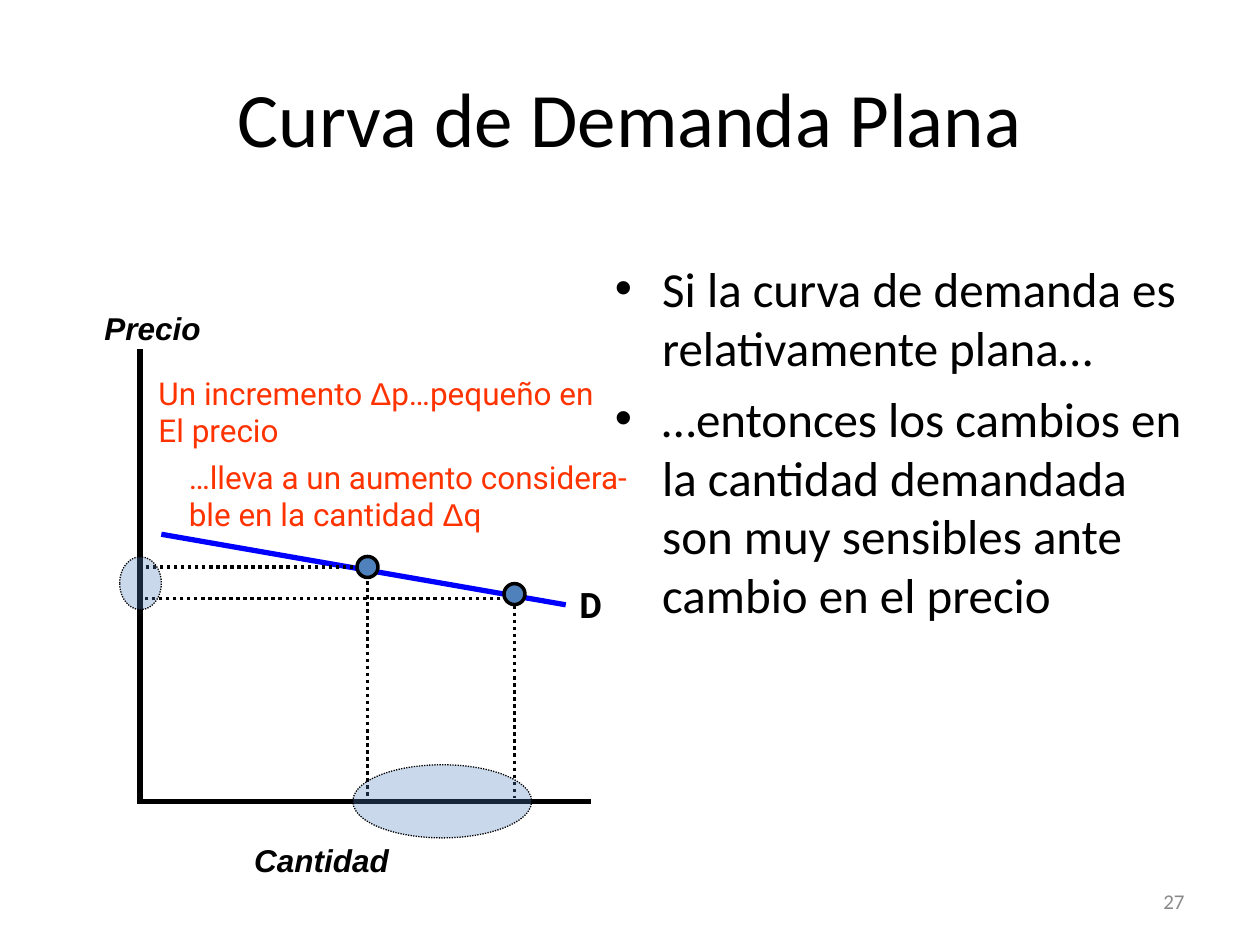
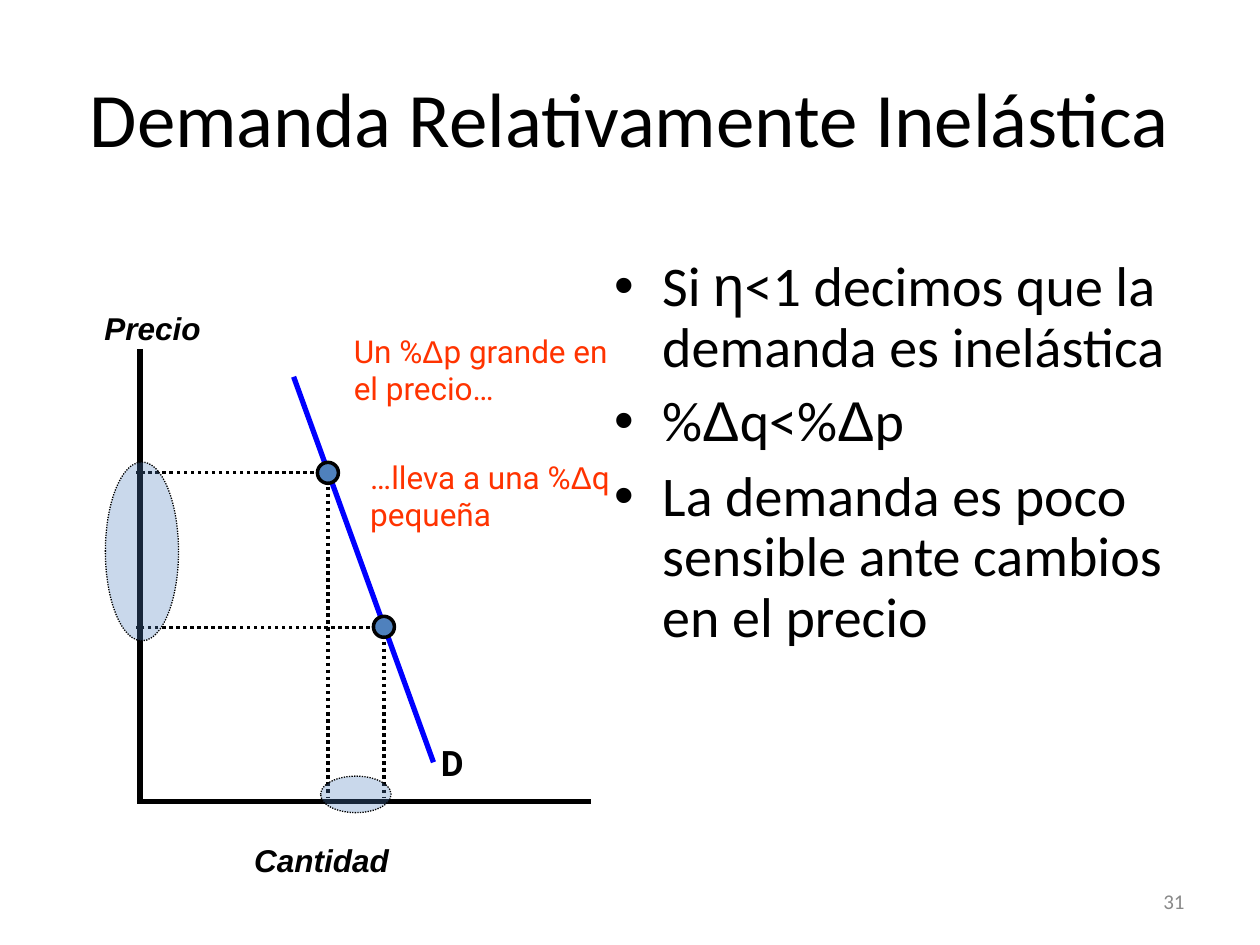
from dataclasses import dataclass
from itertools import groupby
from typing import Optional

from pptx import Presentation
from pptx.dml.color import RGBColor
from pptx.enum.dml import MSO_LINE
from pptx.enum.shapes import MSO_CONNECTOR, MSO_SHAPE
from pptx.enum.text import MSO_ANCHOR, MSO_AUTO_SIZE, PP_ALIGN
from pptx.oxml.ns import qn
from pptx.util import Pt
from lxml import etree

DOT = MSO_LINE.ROUND_DOT
OVAL = MSO_SHAPE.OVAL
STRAIGHT = MSO_CONNECTOR.STRAIGHT
MIDDLE = MSO_ANCHOR.MIDDLE
NO_FIT, GROW = MSO_AUTO_SIZE.NONE, MSO_AUTO_SIZE.SHAPE_TO_FIT_TEXT
LEFT, CENTER, RIGHT = PP_ALIGN.LEFT, PP_ALIGN.CENTER, PP_ALIGN.RIGHT

COLORS = {"ink": "000000", "curve": "0000FF", "note": "FF3300",
          "mark": "4F81BD", "page": "898989"}
GREEK = "Δη"
AXIS_X, AXIS_Y = 80, 458
GUIDE_X, GUIDE_Y = 78, 456
DOT_SIZE = 12


@dataclass(frozen=True)
class Style:
    size: int
    face: str
    color: str = "ink"
    bold: bool = False
    slant: bool = False
    align: PP_ALIGN = LEFT
    before: float = 0
    lead: Optional[float] = None


@dataclass(frozen=True)
class Box:
    x: float
    y: float
    w: float
    h: float


@dataclass(frozen=True)
class Line:
    x1: float
    y1: float
    x2: float
    y2: float


@dataclass(frozen=True)
class Point:
    x: float
    y: float
    level: float  # height of the guide to the price axis


@dataclass(frozen=True)
class Label:
    box: Box
    lines: tuple[str, ...]
    style: Style


@dataclass(frozen=True)
class Page:
    title: str
    number: str
    list_style: Style
    items: tuple[str, ...]
    demand: Line
    points: tuple[Point, ...]
    zones: tuple[Box, ...]
    labels: tuple[Label, ...]


# Shared styles and places
TITLE = Style(44, "Calibri", align=CENTER)
NUMBER = Style(12, "Calibri", "page", align=RIGHT)
AXIS = Style(18, "Arial", bold=True, slant=True)
NAME = Style(20, "Roboto", bold=True)
NOTE = Style(18, "Roboto", "note")
TITLE_BOX = Box(36, 21.6, 648, 90)
LIST_BOX = Box(344.2, 144, 339.8, 338.4)
NUMBER_BOX = Box(516.2, 500.4, 167.8, 28.8)
AXES = (Line(AXIS_X, 199.4, AXIS_X, 458.6),
        Line(78.5, AXIS_Y, 337.7, AXIS_Y))
AXIS_LABELS = (Label(Box(138.2, 477, 92, 28.8), ("Cantidad",), AXIS),
               Label(Box(52.6, 172.8, 72, 28.8), ("Precio",), AXIS))

PAGES = (
    Page("Curva de Demanda Plana", "27",
         Style(28, "Calibri", before=7, lead=1.0),
         ("Si la curva de demanda es relativamente plana…",
          "…entonces los cambios en la cantidad demandada son muy sensibles "
          "ante cambio en el precio"),
         Line(92.2, 305.3, 323.3, 345.6),
         (Point(210, 324, 324), Point(294, 339.5, 342)),
         (Box(201.6, 437, 102.2, 41.8), Box(68.4, 318.2, 23.8, 30.2)),
         (Label(Box(324, 330, 28.8, 31.7), ("D",), NAME),
          Label(Box(83.5, 210, 288, 50.4),
                ("Un incremento Δp…pequeño en", "El precio"), NOTE),
          Label(Box(100.8, 258, 283.7, 50.4),
                ("…lleva a un aumento considera-",
                 "ble en la cantidad Δq"), NOTE))),
    Page("Demanda Relativamente Inelástica", "31",
         Style(32, "Calibri", before=8, lead=0.9),
         ("Si η<1 decimos que la demanda es inelástica", "%Δq<%Δp",
          "La demanda es poco sensible ante cambios en el precio"),
         Line(167.8, 215.3, 247.7, 435.6),
         (Point(187.4, 270.2, 270), Point(219.4, 358.2, 358.6)),
         (Box(60.2, 264, 41.8, 102.2), Box(183.2, 443.5, 40.3, 20.9)),
         (Label(Box(244.8, 420, 28.8, 31.7), ("D",), NAME),
          Label(Box(195.1, 186, 172, 50.4),
                ("Un %Δp grande en", "el precio…"), NOTE),
          Label(Box(204.5, 258, 165.6, 50.4),
                ("…lleva a una %Δq", "pequeña"), NOTE))),
)


def tint(name: str) -> RGBColor:
    return RGBColor.from_string(COLORS[name])


def write(frame, lines: tuple[str, ...], style: Style) -> None:
    """Fill a frame, one paragraph a line, with Greek letters in Arial."""
    for i, line in enumerate(lines):
        para = frame.add_paragraph() if i else frame.paragraphs[0]
        para.alignment = style.align
        para.space_before = Pt(style.before)
        if style.lead:
            para.line_spacing = style.lead
        font = para.font
        font.size, font.name = Pt(style.size), style.face
        font.bold, font.italic = style.bold, style.slant
        font.color.rgb = tint(style.color)
        for greek, part in groupby(line, lambda sign: sign in GREEK):
            run = para.add_run()
            run.text = "".join(part)
            if greek:
                run.font.name = "Arial"


def fill_holder(holder, box: Box, lines: tuple[str, ...],
                style: Style) -> None:
    holder.left, holder.top = Pt(box.x), Pt(box.y)
    holder.width, holder.height = Pt(box.w), Pt(box.h)
    holder.text_frame.auto_size = NO_FIT
    write(holder.text_frame, lines, style)


def add_label(slide, label: Label, wrap: bool = False) -> None:
    box = label.box
    shape = slide.shapes.add_textbox(Pt(box.x), Pt(box.y),
                                     Pt(box.w), Pt(box.h))
    frame = shape.text_frame
    frame.word_wrap = wrap
    if wrap:
        frame.vertical_anchor = MIDDLE
    else:
        frame.auto_size = GROW
    write(frame, label.lines, label.style)


def add_line(slide, line: Line, color: str = "ink", width: float = 3,
             dotted: bool = False) -> None:
    rule = slide.shapes.add_connector(STRAIGHT, Pt(line.x1), Pt(line.y1),
                                      Pt(line.x2), Pt(line.y2))
    rule.line.color.rgb = tint(color)
    rule.line.width = Pt(width)
    if dotted:
        rule.line.dash_style = DOT
    etree.SubElement(rule._element.spPr, qn("a:effectLst"))


def add_oval(slide, box: Box, width: float,
             alpha: Optional[int] = None) -> None:
    """Draw a solid point, or a dotted zone if alpha is given."""
    oval = slide.shapes.add_shape(OVAL, Pt(box.x), Pt(box.y),
                                  Pt(box.w), Pt(box.h))
    oval.shadow.inherit = False
    oval.fill.solid()
    oval.fill.fore_color.rgb = tint("mark")
    oval.line.color.rgb = tint("ink")
    oval.line.width = Pt(width)
    if alpha is not None:
        color = oval._element.spPr.find(qn("a:solidFill")).find(qn("a:srgbClr"))
        etree.SubElement(color, qn("a:alpha")).set("val", str(alpha * 1000))
        oval.line.dash_style = DOT


def add_graph(slide, page: Page) -> None:
    # Curve and axes
    add_line(slide, page.demand, "curve")
    for axis in AXES:
        add_line(slide, axis)
    # Guides from each point to both axes
    for p in page.points:
        add_line(slide, Line(p.x, p.level, p.x, GUIDE_Y), width=2, dotted=True)
        add_line(slide, Line(p.x, p.level, GUIDE_X, p.level),
                 width=2, dotted=True)
    # Points and zones of change
    half = DOT_SIZE / 2
    for p in page.points:
        add_oval(slide, Box(p.x - half, p.y - half, DOT_SIZE, DOT_SIZE), 2)
    for zone in page.zones:
        add_oval(slide, zone, 0.75, alpha=30)
    for label in AXIS_LABELS + page.labels:
        add_label(slide, label)


def main() -> None:
    deck = Presentation()
    deck.slide_width, deck.slide_height = Pt(720), Pt(540)
    for page in PAGES:
        slide = deck.slides.add_slide(deck.slide_layouts[1])
        fill_holder(slide.shapes.title, TITLE_BOX, (page.title,), TITLE)
        fill_holder(slide.placeholders[1], LIST_BOX, page.items,
                    page.list_style)
        add_label(slide, Label(NUMBER_BOX, (page.number,), NUMBER), wrap=True)
        add_graph(slide, page)
    deck.save("out.pptx")


if __name__ == "__main__":
    main()
